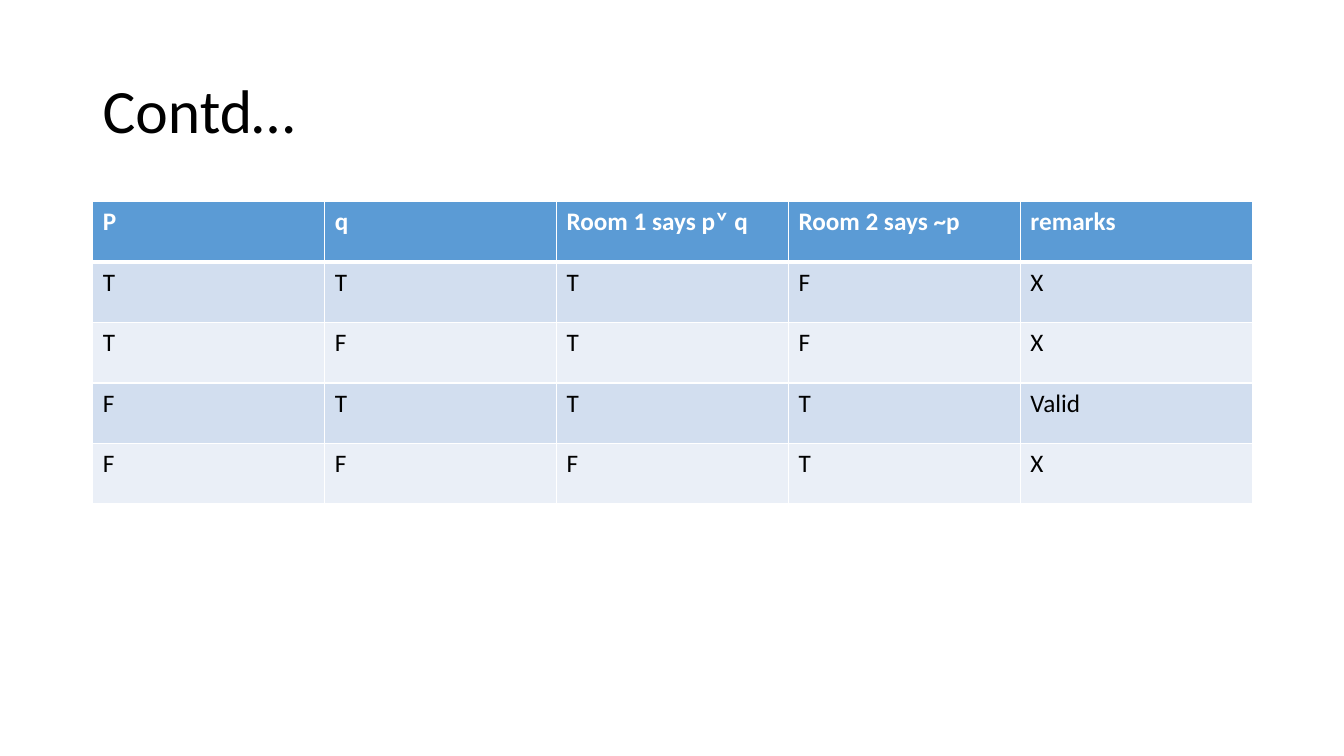
from lxml.etree import SubElement
from pptx import Presentation
from pptx.dml.color import RGBColor
from pptx.enum.text import MSO_ANCHOR
from pptx.oxml.ns import qn
from pptx.util import Inches, Pt

COLORS = {
    "title": "000000",
    "body": "000000",
    "header": "FFFFFF",
    "header_fill": "5B9BD5",
    "odd_fill": "D2DEEF",
    "even_fill": "EAEFF7",
    "border": "FFFFFF",
}
FORMATS = {
    "title": {"name": "Calibri", "size": Pt(44), "bold": False},
    "header": {"name": "Calibri", "size": Pt(18), "bold": True},
    "body": {"name": "Calibri", "size": Pt(18), "bold": False},
}
TRUTH_ROWS = [
    ["P", "q", "Room 1 says p˅ q", "Room 2 says ~p", "remarks"],
    ["T", "T", "T", "F", "X"],
    ["T", "F", "T", "F", "X"],
    ["F", "T", "T", "T", "Valid"],
    ["F", "F", "F", "T", "X"],
]


def write(paragraph, text, role):
    run = paragraph.add_run()
    run.text = text
    for attribute, value in FORMATS[role].items():
        setattr(run.font, attribute, value)
    run.font.color.rgb = RGBColor.from_string(COLORS[role])


def set_borders(cell, widths):
    """Draw the cell's sides; widths maps L, R, T, B (in that order) to points."""
    properties = cell._tc.get_or_add_tcPr()
    for position, (side, width) in enumerate(widths.items()):
        line = SubElement(properties, qn(f"a:ln{side}"), w=str(Pt(width)))
        fill = SubElement(line, qn("a:solidFill"))
        SubElement(fill, qn("a:srgbClr"), val=COLORS["border"])
        # The schema wants border lines ahead of the cell fill.
        properties.insert(position, line)


def add_title(slide, left, top, width, height, text):
    title = slide.shapes.add_textbox(left, top, width, height)
    frame = title.text_frame
    frame.word_wrap = True
    frame.vertical_anchor = MSO_ANCHOR.MIDDLE
    frame.paragraphs[0].line_spacing = 0.9
    write(frame.paragraphs[0], text, "title")


def add_truth_table(slide, left, top, width, height, rows):
    table = slide.shapes.add_table(
        len(rows), len(rows[0]), left, top, width, height
    ).table
    for row_index, values in enumerate(rows):
        is_header = row_index == 0
        role = "header" if is_header else "body"
        band = "header" if is_header else "odd" if row_index % 2 else "even"
        widths = {
            "L": 1,
            "R": 1,
            "T": 3 if row_index == 1 else 1,
            "B": 3 if is_header else 1,
        }
        for column_index, value in enumerate(values):
            cell = table.cell(row_index, column_index)
            cell.fill.solid()
            cell.fill.fore_color.rgb = RGBColor.from_string(COLORS[f"{band}_fill"])
            set_borders(cell, widths)
            write(cell.text_frame.paragraphs[0], value, role)


def main():
    presentation = Presentation()
    presentation.slide_width = Inches(13.33)
    presentation.slide_height = Inches(7.5)
    slide = presentation.slides.add_slide(presentation.slide_layouts[6])
    left, width = Inches(0.92), Inches(11.5)
    add_title(slide, left, Inches(0.4), width, Inches(1.45), "Contd…")
    add_truth_table(slide, left, Inches(2), width, Inches(3), TRUTH_ROWS)
    presentation.save("out.pptx")


if __name__ == "__main__":
    main()
